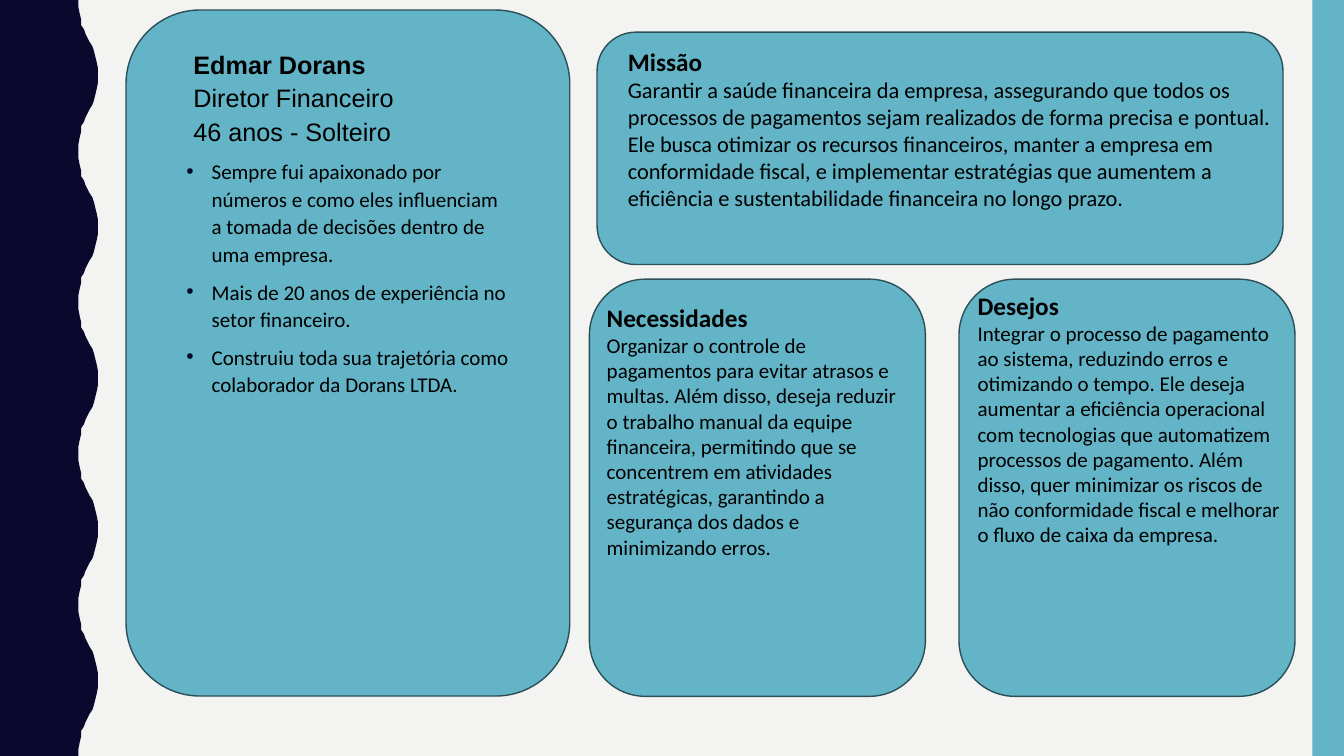
from lxml.etree import SubElement
from pptx import Presentation
from pptx.dml.color import RGBColor
from pptx.enum.shapes import MSO_SHAPE as Shape
from pptx.enum.text import MSO_ANCHOR as Anchor, MSO_AUTO_SIZE as AutoSize, PP_ALIGN as Align
from pptx.oxml.ns import qn
from pptx.util import Pt

COLORS = {"paper": "F3F3F2", "navy": "0B082E", "teal": "62B4C6",
          "outline": "2B4F57", "text": "000000"}


def paint(shape, fill, line=None):
    shape.shadow.inherit = False
    shape.fill.solid()
    shape.fill.fore_color.rgb = RGBColor.from_string(COLORS[fill])
    if line:
        shape.line.color.rgb = RGBColor.from_string(COLORS[line])
        shape.line.width = Pt(1)
    else:
        shape.line.fill.background()


def style(font, name, size, bold=False):
    font.name, font.size, font.bold = name, Pt(size), bold
    font.color.rgb = RGBColor.from_string(COLORS["text"])


prs = Presentation()
prs.slide_width, prs.slide_height = Pt(960), Pt(540)
slide = prs.slides.add_slide(prs.slide_layouts[1])
title, profile = slide.placeholders
title.element.getparent().remove(title.element)

# Background with a wavy left edge and a right stripe
slide.background.fill.solid()
slide.background.fill.fore_color.rgb = RGBColor.from_string(COLORS["paper"])

PERIOD = 108
rise = [(56.2, 0), (56.2, 5), (56.9, 10), (57.6, 14.4), (58.3, 18), (59.8, 21),
        (61.2, 24), (64, 30), (65.5, 33), (67, 36), (68.4, 39.6), (69.1, 44),
        (69.8, 49), (69.8, 54)]
fall = [(x, PERIOD - y) for x, y in reversed(rise[1:-1])]
wave = [(x, y + PERIOD * turn) for turn in range(5) for x, y in rise + fall]
edge = slide.shapes.build_freeform(0, 0, scale=Pt(1))
edge.add_line_segments(wave + [(56.2, 540), (0, 540)], close=True)
paint(edge.convert_to_shape(), "navy")

stripe = slide.shapes.add_shape(Shape.RECTANGLE, Pt(937.5), 0, Pt(22.5), Pt(540))
paint(stripe, "teal")

# Cards
for left, top, width, height in [(90, 7.2, 317, 490), (685, 199.4, 240, 298),
                                 (421, 199.4, 240, 298), (426.5, 23, 490, 166)]:
    card = slide.shapes.add_shape(Shape.ROUNDED_RECTANGLE,
                                  Pt(left), Pt(top), Pt(width), Pt(height))
    paint(card, "teal", "outline")

# Profile
profile.left, profile.top = Pt(126), Pt(29.5)
profile.width, profile.height = Pt(245.5), Pt(458)
slide.shapes._spTree.append(profile.element)
story = profile.text_frame
story.word_wrap = True
story.auto_size = AutoSize.NONE
story.vertical_anchor = Anchor.TOP
story.text = "\n".join([
    "Edmar Dorans\vDiretor Financeiro\v46 anos - Solteiro",
    "Sempre fui apaixonado por números e como eles influenciam a tomada de decisões dentro de uma empresa.",
    "Mais de 20 anos de experiência no setor financeiro.",
    "Construiu toda sua trajetória como colaborador da Dorans LTDA.",
])
for number, paragraph in enumerate(story.paragraphs):
    paragraph.alignment = Align.LEFT
    paragraph.line_spacing = 1.1
    paragraph.space_before = Pt(7)
    props = paragraph._p.get_or_add_pPr()
    if number == 0:
        style(paragraph.font, "Arial", 18)
        paragraph.runs[0].font.bold = True
        props.set("marL", str(Pt(5)))
        props.set("indent", "0")
        SubElement(props, qn("a:buNone"))
    else:
        style(paragraph.font, "Calibri", 15)
        props.set("marL", str(Pt(18)))
        props.set("indent", str(-Pt(18)))
        bullet_color = SubElement(props, qn("a:buClr"))
        SubElement(bullet_color, qn("a:srgbClr"), val=COLORS["navy"])
        SubElement(props, qn("a:buFont"), typeface="Arial")
        SubElement(props, qn("a:buChar"), char="•")
        # Bullet settings come before the default run settings
        props.append(props.find(qn("a:defRPr")))
    if number == 0:
        props.append(props.find(qn("a:defRPr")))

# Mission, needs and wishes
sections = [
    ("Missão", 441.4, 29.5, 475, 126, 16,
     "Garantir a saúde financeira da empresa, assegurando que todos os processos de pagamentos "
     "sejam realizados de forma precisa e pontual. Ele busca otimizar os recursos financeiros, "
     "manter a empresa em conformidade fiscal, e implementar estratégias que aumentem a "
     "eficiência e sustentabilidade financeira no longo prazo."),
    ("Necessidades", 426.3, 212.4, 224.6, 193, 15,
     "Organizar o controle de pagamentos para evitar atrasos e multas. Além disso, deseja reduzir "
     "o trabalho manual da equipe financeira, permitindo que se concentrem em atividades "
     "estratégicas, garantindo a segurança dos dados e minimizando erros."),
    ("Desejos", 691.2, 203.6, 239.8, 193, 15,
     "Integrar o processo de pagamento ao sistema, reduzindo erros e otimizando o tempo. Ele "
     "deseja aumentar a eficiência operacional com tecnologias que automatizem processos de "
     "pagamento. Além disso, quer minimizar os riscos de não conformidade fiscal e melhorar o "
     "fluxo de caixa da empresa."),
]
for heading, left, top, width, height, size, details in sections:
    section = slide.shapes.add_textbox(Pt(left), Pt(top), Pt(width), Pt(height)).text_frame
    section.word_wrap = True
    section.auto_size = AutoSize.SHAPE_TO_FIT_TEXT
    section.text = f"{heading}\v{details}"
    heading_run, details_run = section.paragraphs[0].runs
    style(heading_run.font, "Calibri", 18, bold=True)
    style(details_run.font, "Calibri", size)

prs.save("out.pptx")
